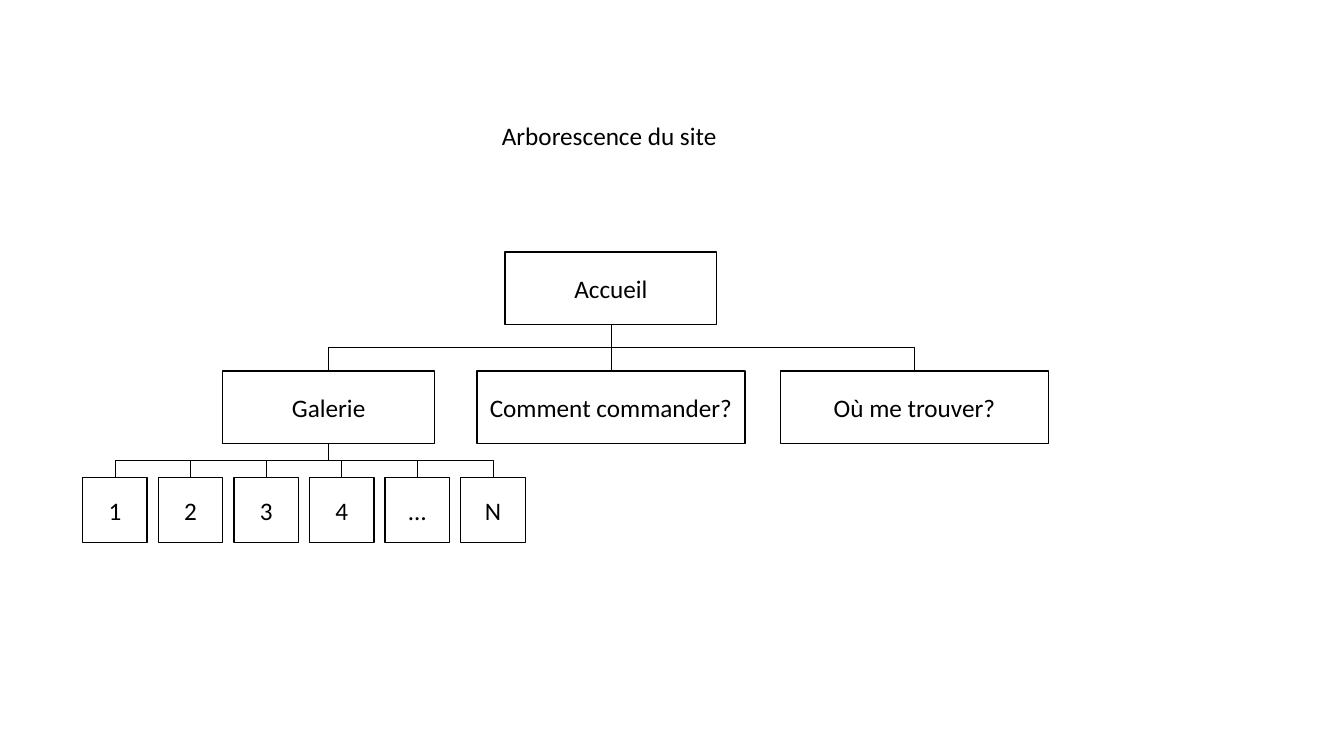
from dataclasses import dataclass

from lxml.etree import SubElement
from pptx import Presentation
from pptx.dml.color import RGBColor
from pptx.enum.shapes import MSO_CONNECTOR, MSO_SHAPE
from pptx.enum.text import MSO_ANCHOR, MSO_AUTO_SIZE, PP_ALIGN
from pptx.oxml.ns import qn
from pptx.shapes.autoshape import Shape
from pptx.slide import Slide
from pptx.text.text import TextFrame
from pptx.util import Inches, Pt

BLACK = "000000"
BOTTOM, TOP = 2, 0


@dataclass(frozen=True)
class Node:
    label: str
    left: float
    top: float
    width: float = 2.1
    height: float = 0.72

    @property
    def middle(self) -> float:
        return self.left + self.width / 2

    @property
    def bottom(self) -> float:
        return self.top + self.height


HOME = Node("Accueil", 5.01, 2.5)
GALLERY = Node("Galerie", 2.21, 3.68)
PAGES = [
    GALLERY,
    Node("Comment commander?", 4.73, 3.68, 2.66),
    Node("Où me trouver?", 7.74, 3.68, 2.66),
]
ITEMS = [
    Node(label, 0.82 + 0.75 * place, 4.74, 0.64, 0.64)
    for place, label in enumerate("1234…N")
]


def color(code: str) -> RGBColor:
    return RGBColor.from_string(code)


def write(frame: TextFrame, text: str, align: PP_ALIGN) -> None:
    frame.text = text
    for line in frame.paragraphs:
        line.alignment = align
        for run in line.runs:
            run.font.name = "Calibri"
            run.font.size = Pt(18)
            run.font.color.rgb = color(BLACK)


def draw_node(slide: Slide, node: Node) -> Shape:
    box = slide.shapes.add_shape(
        MSO_SHAPE.RECTANGLE, Inches(node.left), Inches(node.top),
        Inches(node.width), Inches(node.height))
    box.shadow.inherit = False
    box.fill.background()
    box.line.color.rgb = color(BLACK)
    box.line.width = Pt(1)
    box.text_frame.vertical_anchor = MSO_ANCHOR.MIDDLE
    write(box.text_frame, node.label, PP_ALIGN.CENTER)
    return box


def draw_link(slide: Slide, parent: Node, child: Node,
              start: Shape, end: Shape) -> None:
    shift = child.middle - parent.middle
    drop = child.top - parent.bottom
    bent = abs(shift) > 0.01
    kind = MSO_CONNECTOR.ELBOW if bent else MSO_CONNECTOR.STRAIGHT
    link = slide.shapes.add_connector(
        kind, Inches(parent.middle), Inches(parent.bottom),
        Inches(child.middle), Inches(child.top))
    link.begin_connect(start, BOTTOM)
    link.end_connect(end, TOP)
    link.line.color.rgb = color(BLACK)
    link.line.width = Pt(0.5)
    SubElement(link.element.spPr, qn("a:effectLst"))
    if bent:
        link.left = Inches(parent.middle + shift / 2 - drop / 2)
        link.top = Inches(parent.bottom + drop / 2 - abs(shift) / 2)
        link.width = Inches(drop)
        link.height = Inches(abs(shift))
        frame = link.element.spPr.find(qn("a:xfrm"))
        turn = 270 if shift > 0 else 90
        frame.set("rot", str(turn * 60000))
        frame.set("flipH", "1" if shift > 0 else "0")
        frame.set("flipV", "0")


def draw_branch(slide: Slide, parent: Node, start: Shape,
                nodes: list[Node]) -> list[Shape]:
    boxes = [draw_node(slide, node) for node in nodes]
    for node, box in zip(nodes, boxes):
        draw_link(slide, parent, node, start, box)
    return boxes


def draw_title(slide: Slide) -> None:
    title = slide.shapes.add_textbox(
        Inches(4.88), Inches(1.14), Inches(2.36), Inches(0.4))
    title.text_frame.word_wrap = False
    title.text_frame.auto_size = MSO_AUTO_SIZE.SHAPE_TO_FIT_TEXT
    write(title.text_frame, "Arborescence du site", PP_ALIGN.LEFT)


def main() -> None:
    deck = Presentation()
    deck.slide_width = Inches(13.33)
    deck.slide_height = Inches(7.5)
    slide = deck.slides.add_slide(deck.slide_layouts[6])
    home = draw_node(slide, HOME)
    pages = draw_branch(slide, HOME, home, PAGES)
    draw_branch(slide, GALLERY, pages[PAGES.index(GALLERY)], ITEMS)
    draw_title(slide)
    deck.save("out.pptx")


if __name__ == "__main__":
    main()
